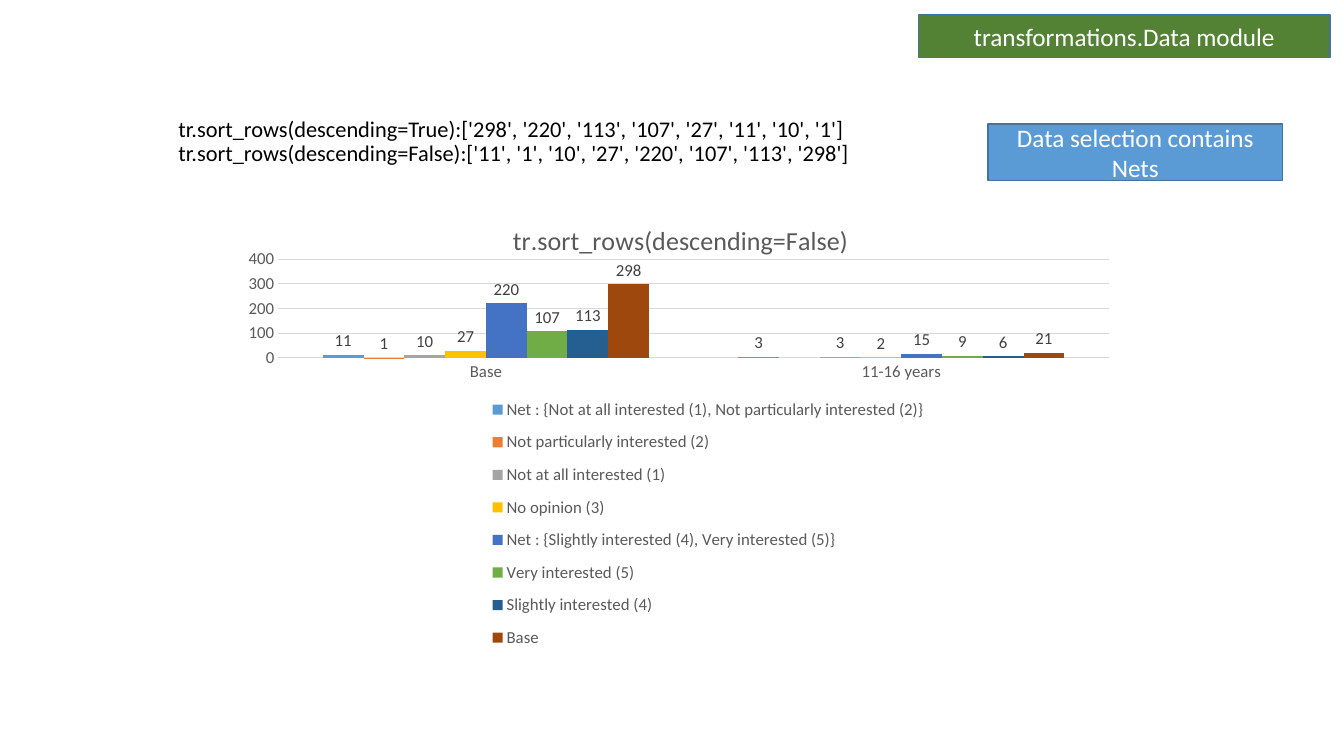
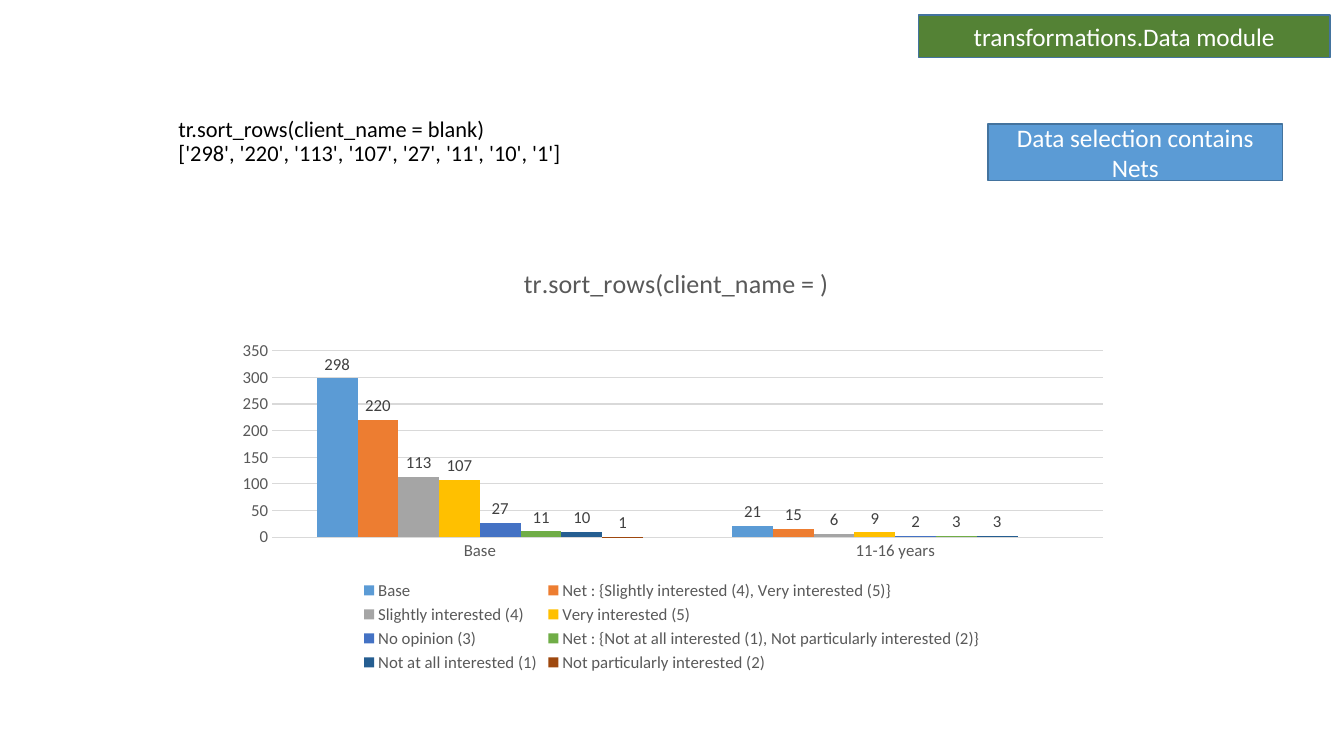
"""Build two slides that show how sort_rows orders survey rows with nets."""
from lxml.etree import SubElement
from pptx import Presentation
from pptx.chart.data import CategoryChartData
from pptx.dml.color import RGBColor
from pptx.enum.chart import XL_CHART_TYPE, XL_LABEL_POSITION, XL_LEGEND_POSITION, XL_TICK_MARK
from pptx.enum.shapes import MSO_SHAPE
from pptx.enum.text import MSO_ANCHOR, MSO_AUTO_SIZE, PP_ALIGN
from pptx.oxml.ns import qn
from pptx.util import Pt

PX = 9144
FONT = "Calibri"
BLACK = RGBColor(0x00, 0x00, 0x00)
WHITE = RGBColor(0xFF, 0xFF, 0xFF)
GREEN = RGBColor(0x54, 0x82, 0x35)
BLUE = RGBColor(0x5B, 0x9B, 0xD5)
OUTLINE = RGBColor(0x43, 0x73, 0x9E)
GRAY = RGBColor(0x59, 0x59, 0x59)
LABEL_GRAY = RGBColor(0x40, 0x40, 0x40)
GRID_GRAY = RGBColor(0xD9, 0xD9, 0xD9)
SERIES_COLORS = [
    BLUE,
    RGBColor(0xED, 0x7D, 0x31),
    RGBColor(0xA5, 0xA5, 0xA5),
    RGBColor(0xFF, 0xC0, 0x00),
    RGBColor(0x44, 0x72, 0xC4),
    RGBColor(0x70, 0xAD, 0x47),
    RGBColor(0x25, 0x5E, 0x91),
    RGBColor(0x9E, 0x48, 0x0E),
]

TITLE_BOX = (167, 94, 1000, 76)
BANDS = [
    ("transformations.Data module", (911, 15, 408, 42), GREEN),
    ("Data selection contains Nets", (980, 123, 292, 56), BLUE),
]

CATEGORIES = ["Base", "11-16 years"]
NET_LOW = "Net : {Not at all interested (1), Not particularly interested (2)}"
NET_HIGH = "Net : {Slightly interested (4), Very interested (5)}"
NOT_AT_ALL = "Not at all interested (1)"
NOT_PARTICULARLY = "Not particularly interested (2)"
NO_OPINION = "No opinion (3)"
SLIGHTLY = "Slightly interested (4)"
VERY = "Very interested (5)"
BASE = "Base"
VALUES = {
    NET_LOW: (11, 3),
    NOT_PARTICULARLY: (1, None),
    NOT_AT_ALL: (10, 3),
    NO_OPINION: (27, 2),
    NET_HIGH: (220, 15),
    VERY: (107, 9),
    SLIGHTLY: (113, 6),
    BASE: (298, 21),
}

SLIDES = [
    {
        "title": [
            "tr.sort_rows(descending=True):['298', '220', '113', '107', '27', '11', '10', '1']",
            "tr.sort_rows(descending=False):['11', '1', '10', '27', '220', '107', '113', '298']",
        ],
        "chart_title": "tr.sort_rows(descending=False)",
        "rows": [NET_LOW, NOT_PARTICULARLY, NOT_AT_ALL, NO_OPINION, NET_HIGH, VERY, SLIGHTLY, BASE],
        "box": (222, 207, 889, 464),
        "scale": (400, 100),
        "title_at": (282, 9),
        "plot_box": (54, 50, 824, 98),
        "legend_box": (258, 177, 445, 271),
    },
    {
        "title": [
            "tr.sort_rows(client_name = blank)",
            "['298', '220', '113', '107', '27', '11', '10', '1']",
        ],
        "chart_title": "tr.sort_rows(client_name = )",
        "rows": [BASE, NET_HIGH, SLIGHTLY, VERY, NO_OPINION, NET_LOW, NOT_AT_ALL, NOT_PARTICULARLY],
        "box": (222, 235, 889, 436),
        "scale": (350, 50),
        "title_at": (293, 23),
        "plot_box": (48, 113, 824, 185),
        "legend_box": None,
    },
]


def to_emu(box):
    return [value * PX for value in box]


def style_font(font, size, color):
    font.name = FONT
    font.size = Pt(size)
    font.bold = False
    font.color.rgb = color


def style_line(line, color, width):
    line.color.rgb = color
    line.width = Pt(width)


def add_title(slide, lines):
    title = slide.shapes.title
    title.left, title.top, title.width, title.height = to_emu(TITLE_BOX)
    frame = title.text_frame
    frame.auto_size = MSO_AUTO_SIZE.NONE
    frame.vertical_anchor = MSO_ANCHOR.BOTTOM
    frame.text = "\n".join(lines)
    for paragraph in frame.paragraphs:
        paragraph.alignment = PP_ALIGN.LEFT
        paragraph.line_spacing = 0.9
        style_font(paragraph.runs[0].font, 16, BLACK)


def add_band(slide, text, box, color):
    band = slide.shapes.add_shape(MSO_SHAPE.RECTANGLE, *to_emu(box))
    band.shadow.inherit = False
    band.fill.solid()
    band.fill.fore_color.rgb = color
    style_line(band.line, OUTLINE, 1)
    frame = band.text_frame
    frame.word_wrap = True
    frame.vertical_anchor = MSO_ANCHOR.MIDDLE
    frame.text = text
    paragraph = frame.paragraphs[0]
    paragraph.alignment = PP_ALIGN.CENTER
    style_font(paragraph.runs[0].font, 18, WHITE)


def place_part(element, box, chart_size, after=None, inner=False):
    """Give a chart part a fixed place, in px from the chart's corner."""
    old = element.find(qn("c:layout"))
    if old is not None:
        element.remove(old)
    layout = SubElement(element, qn("c:layout"))
    index = 0 if after is None else element.index(element.find(qn(after))) + 1
    element.insert(index, layout)
    manual = SubElement(layout, qn("c:manualLayout"))
    settings = [("layoutTarget", "inner")] if inner else []
    settings += [("xMode", "edge"), ("yMode", "edge")]
    for name, value, total in zip("xywh", box, chart_size * 2):
        settings.append((name, f"{value / total:.4f}"))
    for name, value in settings:
        SubElement(manual, qn(f"c:{name}")).set("val", value)


def style_axes(chart, scale):
    for axis in (chart.category_axis, chart.value_axis):
        axis.major_tick_mark = XL_TICK_MARK.NONE
        axis.minor_tick_mark = XL_TICK_MARK.NONE
        style_font(axis.tick_labels.font, 12, GRAY)
    style_line(chart.category_axis.format.line, GRID_GRAY, 0.75)
    axis = chart.value_axis
    axis.minimum_scale = 0
    axis.maximum_scale, axis.major_unit = scale
    axis.tick_labels.number_format = "0"
    axis.tick_labels.number_format_is_linked = False
    axis.format.line.fill.background()
    style_line(axis.major_gridlines.format.line, GRID_GRAY, 0.75)


def style_series(series, color):
    series.invert_if_negative = False
    series.format.fill.solid()
    series.format.fill.fore_color.rgb = color
    labels = series.data_labels
    labels.show_value = True
    labels.position = XL_LABEL_POSITION.OUTSIDE_END
    labels.number_format = "0"
    labels.number_format_is_linked = False
    style_font(labels.font, 12, LABEL_GRAY)


def add_sorted_chart(slide, content):
    data = CategoryChartData(number_format="0")
    data.categories = CATEGORIES
    for row in content["rows"]:
        data.add_series(row, VALUES[row])
    frame = slide.shapes.add_chart(
        XL_CHART_TYPE.COLUMN_CLUSTERED, *to_emu(content["box"]), data
    )
    chart = frame.chart
    chart_size = content["box"][2:]
    style_font(chart.font, 10, BLACK)

    chart.has_title = True
    title = chart.chart_title
    title.include_in_layout = False
    title.text_frame.text = content["chart_title"]
    style_font(title.text_frame.paragraphs[0].runs[0].font, 18.6, GRAY)
    place_part(title._element, content["title_at"], chart_size, "c:tx")

    chart.has_legend = True
    legend = chart.legend
    legend.position = XL_LEGEND_POSITION.BOTTOM
    legend.include_in_layout = False
    style_font(legend.font, 12, GRAY)
    if content["legend_box"]:
        place_part(legend._element, content["legend_box"], chart_size, "c:legendPos")

    plot = chart.plots[0]
    plot.gap_width = 219
    plot.vary_by_categories = False
    for series, color in zip(plot.series, SERIES_COLORS):
        style_series(series, color)
    style_axes(chart, content["scale"])
    plot_area = chart._chartSpace.chart.plotArea
    place_part(plot_area, content["plot_box"], chart_size, inner=True)


def main():
    presentation = Presentation()
    presentation.slide_width, presentation.slide_height = to_emu((1333, 750))
    for content in SLIDES:
        slide = presentation.slides.add_slide(presentation.slide_layouts[5])
        add_title(slide, content["title"])
        add_sorted_chart(slide, content)
        for text, box, color in BANDS:
            add_band(slide, text, box, color)
    presentation.save("out.pptx")


if __name__ == "__main__":
    main()
